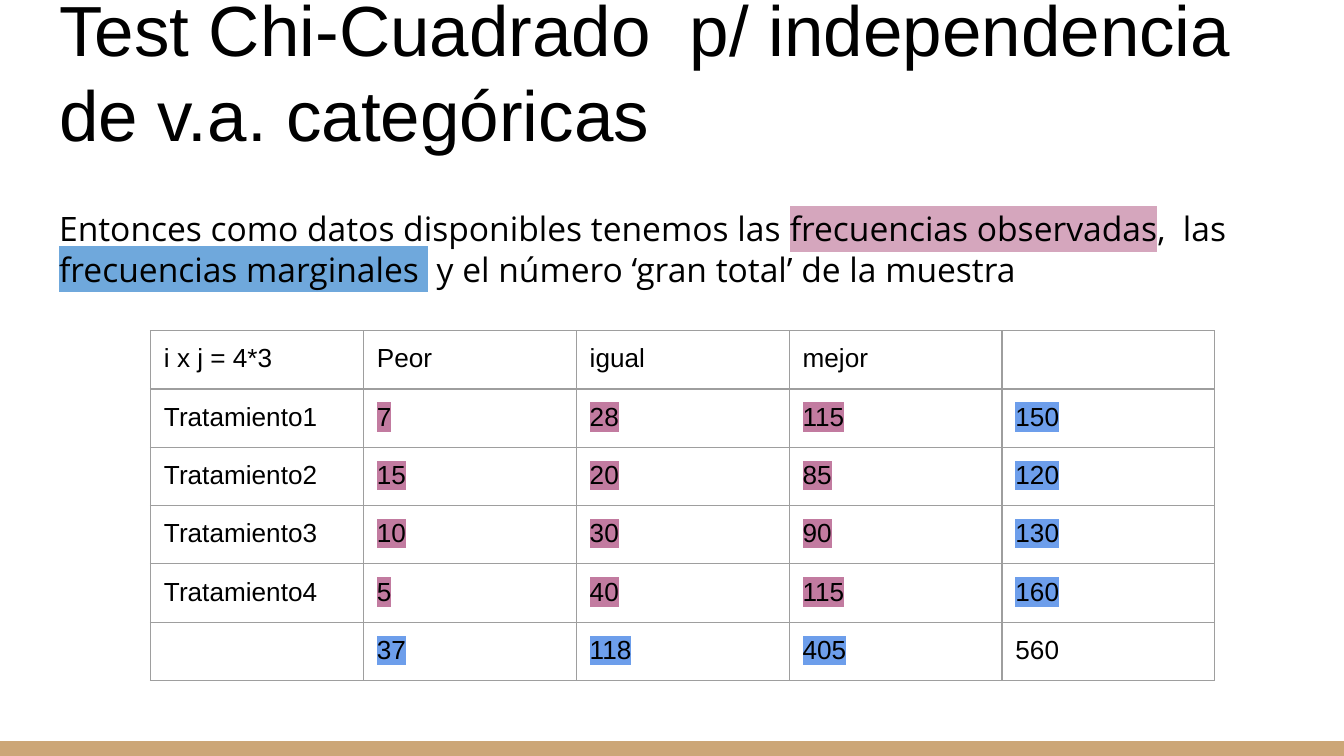
import dataclasses

import lxml.etree
import pptx
import pptx.dml.color
import pptx.enum.shapes
import pptx.enum.text
import pptx.oxml
import pptx.oxml.ns
import pptx.util

WIDTH = 10
HEIGHT = WIDTH * 9 / 16


@dataclasses.dataclass(frozen=True)
class Theme:
    ink: str = "000000"
    paper: str = "FFFFFF"
    bar: str = "CCA677"
    border: str = "9E9E9E"
    observed_words: str = "D5A6BD"
    marginal_words: str = "6FA8DC"
    observed_cell: str = "C27BA0"
    marginal_cell: str = "6D9EEB"
    title_font: str = "Arial"
    body_font: str = "Open Sans"
    title_size: int = 38
    body_size: int = 18
    table_size: int = 14
    border_width: float = 0.75


THEME = Theme()

TITLE = "Test Chi-Cuadrado  p/ independencia de v.a. categóricas"
INTRO = [
    ("Entonces como datos disponibles tenemos las ", None),
    ("frecuencias observadas", THEME.observed_words),
    (",  las ", None),
    ("frecuencias marginales ", THEME.marginal_words),
    (" y el número ‘gran total’ de la muestra", None),
]
FREQUENCIES = [
    ["i x j = 4*3", "Peor", "igual", "mejor", ""],
    ["Tratamiento1", "7", "28", "115", "150"],
    ["Tratamiento2", "15", "20", "85", "120"],
    ["Tratamiento3", "10", "30", "90", "130"],
    ["Tratamiento4", "5", "40", "115", "160"],
    ["", "37", "118", "405", "560"],
]


def rgb(value):
    return pptx.dml.color.RGBColor.from_string(value)


def place(shape, left, top, width, height):
    shape.left, shape.top = pptx.util.Inches(left), pptx.util.Inches(top)
    shape.width, shape.height = pptx.util.Inches(width), pptx.util.Inches(height)


def set_margins(holder, inches):
    holder.margin_left = holder.margin_right = pptx.util.Inches(inches)
    holder.margin_top = holder.margin_bottom = pptx.util.Inches(inches)


def style_span(span, font_name, size, highlight=None):
    span.font.name = font_name
    span.font.size = pptx.util.Pt(size)
    span.font.color.rgb = rgb(THEME.ink)
    if highlight:
        mark = pptx.oxml.parse_xml(
            f'<a:highlight {pptx.oxml.ns.nsdecls("a")}><a:srgbClr val="{highlight}"/></a:highlight>'
        )
        span.font._element.find(pptx.oxml.ns.qn("a:solidFill")).addnext(mark)


def add_bar(slide):
    bar = slide.shapes.add_shape(
        pptx.enum.shapes.MSO_SHAPE.RECTANGLE, 0, 0, 0, 0
    )
    place(bar, 0, HEIGHT - 0.11, WIDTH, 0.11)
    bar.shadow.inherit = False
    bar.fill.solid()
    bar.fill.fore_color.rgb = rgb(THEME.bar)
    bar.line.fill.background()


def set_title(slide):
    title = slide.shapes.title
    place(title, 0.34, 0.35, 9.32, 0.91)
    frame = title.text_frame
    frame.text = TITLE
    frame.word_wrap = True
    frame.auto_size = pptx.enum.text.MSO_AUTO_SIZE.NONE
    frame.vertical_anchor = pptx.enum.text.MSO_ANCHOR.BOTTOM
    set_margins(frame, 0.1)
    para = frame.paragraphs[0]
    para.alignment = pptx.enum.text.PP_ALIGN.LEFT
    para.line_spacing = 1.0
    para.space_before = pptx.util.Pt(0)
    style_span(para.runs[0], THEME.title_font, THEME.title_size)


def add_intro(slide):
    box = slide.shapes.add_textbox(0, 0, 0, 0)
    place(box, 0.36, 1.47, 9.11, 0.98)
    frame = box.text_frame
    frame.word_wrap = True
    set_margins(frame, 0.08)
    para = frame.paragraphs[0]
    para.line_spacing = 1.0
    for words, highlight in INTRO:
        span = para.add_run()
        span.text = words
        style_span(span, THEME.body_font, THEME.body_size, highlight)


def add_borders(cell):
    properties = cell._tc.get_or_add_tcPr()
    width = pptx.util.Pt(THEME.border_width)
    for index, side in enumerate(("lnL", "lnR", "lnT", "lnB")):
        line = pptx.oxml.parse_xml(
            f'<a:{side} {pptx.oxml.ns.nsdecls("a")} w="{width}"><a:solidFill>'
            f'<a:srgbClr val="{THEME.border}"/></a:solidFill></a:{side}>'
        )
        properties.insert(index, line)


def cell_highlight(row, column):
    """Observed counts lie inside the table, marginal ones on its last row or column."""
    last_row, last_column = len(FREQUENCIES) - 1, len(FREQUENCIES[0]) - 1
    if row == 0 or column == 0 or (row, column) == (last_row, last_column):
        return None
    if row == last_row or column == last_column:
        return THEME.marginal_cell
    return THEME.observed_cell


def style_empty(para):
    """An empty cell takes its line height from the end-of-paragraph mark."""
    end = lxml.etree.SubElement(para._p, pptx.oxml.ns.qn("a:endParaRPr"))
    end.set("sz", str(THEME.table_size * 100))
    latin = lxml.etree.SubElement(end, pptx.oxml.ns.qn("a:latin"))
    latin.set("typeface", THEME.title_font)


def fill_cell(cell, words, highlight):
    cell.text = words
    set_margins(cell, 0.1)
    cell.fill.background()
    add_borders(cell)
    para = cell.text_frame.paragraphs[0]
    for span in para.runs:
        style_span(span, THEME.title_font, THEME.table_size, highlight)
    if not words:
        style_empty(para)


def add_frequency_table(slide):
    rows, columns = len(FREQUENCIES), len(FREQUENCIES[0])
    width, rows_height, frame_height = 7.92, 2.5, 2.6
    frame = slide.shapes.add_table(rows, columns, 0, 0, 0, 0)
    table = frame.table
    table.first_row = table.horz_banding = False
    for column in table.columns:
        column.width = pptx.util.Inches(width / columns)
    for row in table.rows:
        row.height = pptx.util.Inches(rows_height / rows)
    place(frame, 1.12, 2.46, width, frame_height)
    for row, entries in enumerate(FREQUENCIES):
        for column, words in enumerate(entries):
            fill_cell(table.cell(row, column), words, cell_highlight(row, column))


def main():
    deck = pptx.Presentation()
    deck.slide_width = pptx.util.Inches(WIDTH)
    deck.slide_height = pptx.util.Inches(HEIGHT)
    page = deck.slides.add_slide(deck.slide_layouts.get_by_name("Title Only"))
    page.background.fill.solid()
    page.background.fill.fore_color.rgb = rgb(THEME.paper)
    add_bar(page)
    set_title(page)
    add_intro(page)
    add_frequency_table(page)
    deck.save("out.pptx")


if __name__ == "__main__":
    main()
